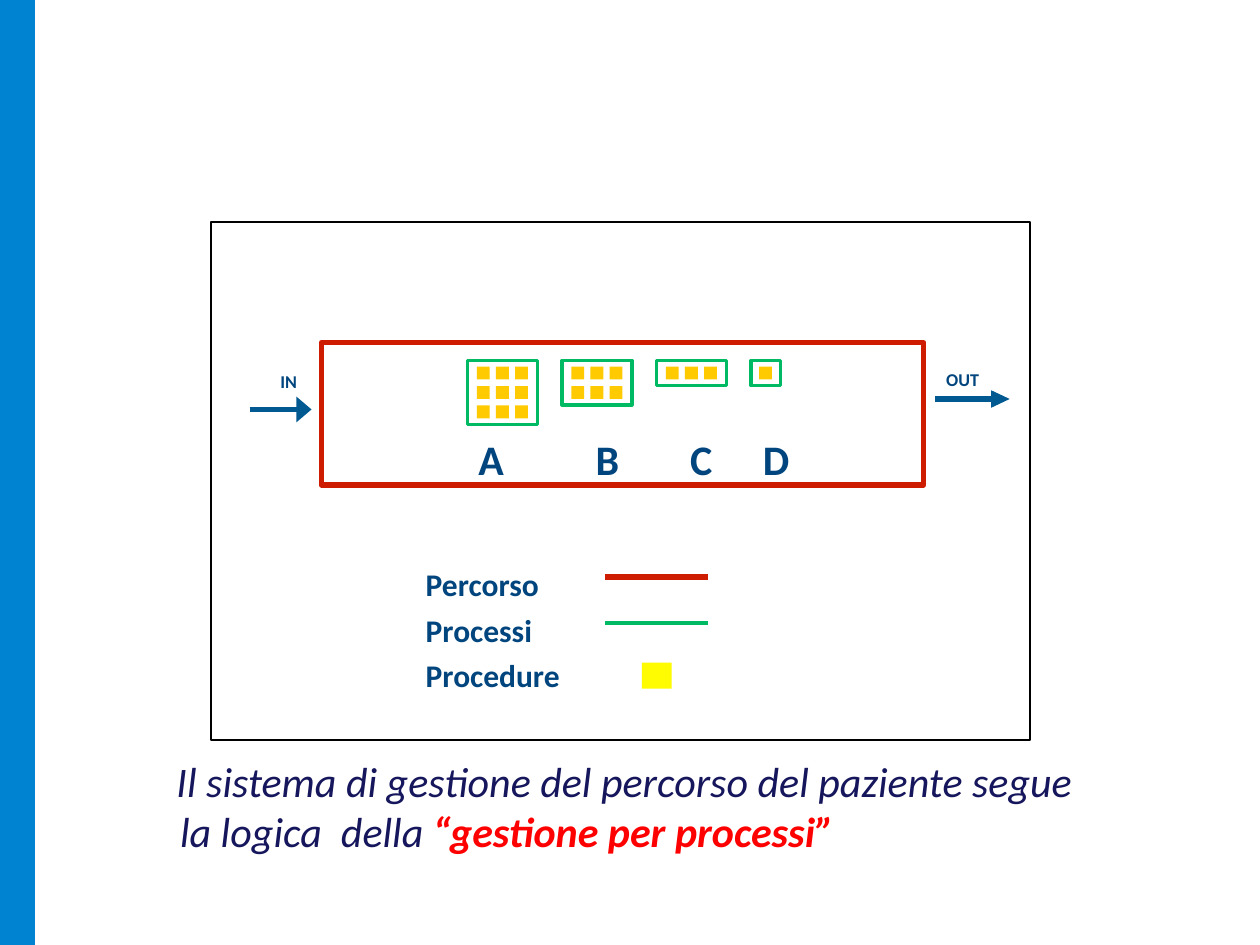
from pptx import Presentation
from pptx.dml.color import RGBColor
from pptx.enum.shapes import MSO_CONNECTOR, MSO_SHAPE
from pptx.enum.text import MSO_ANCHOR, PP_ALIGN
from pptx.oxml.ns import qn
from pptx.util import Pt
from lxml.etree import SubElement

NAVY, STEEL, RED, GREEN, GOLD = "00457D", "005990", "CE1C00", "00BA63", "FFCA00"

presentation = Presentation()
presentation.slide_width, presentation.slide_height = Pt(720), Pt(540)
slide = presentation.slides.add_slide(presentation.slide_layouts[6])
shapes = slide.shapes


def paint(shape, fill=None, line=None, weight=1):
    shape.shadow.inherit = False
    if fill:
        shape.fill.solid()
        shape.fill.fore_color.rgb = RGBColor.from_string(fill)
    else:
        shape.fill.background()
    if line:
        shape.line.color.rgb = RGBColor.from_string(line)
        shape.line.width = Pt(weight)
    else:
        shape.line.fill.background()


def set_text(shape, lines, size, color, bold=False, wrap=True):
    """Write one left-aligned paragraph per line, without insets."""
    frame = shape.text_frame
    frame.word_wrap = wrap
    frame.vertical_anchor = MSO_ANCHOR.TOP
    frame.margin_left = frame.margin_top = frame.margin_right = frame.margin_bottom = 0
    frame.text = "\n".join(lines)
    for paragraph in frame.paragraphs:
        paragraph.alignment = PP_ALIGN.LEFT
        paragraph.font.name = "Calibri"
        paragraph.font.size = Pt(size)
        paragraph.font.bold = bold
        paragraph.font.color.rgb = RGBColor.from_string(color)
    return frame


side_band = shapes.add_shape(MSO_SHAPE.RECTANGLE, 0, 0, Pt(20), Pt(540))
paint(side_band, fill="0084D1")

# Processes, each with its rows and columns of procedures
SQUARE, PITCH_X, PITCH_Y, PAD_Y, TOP = 7.3, 10.9, 11.1, 3.5, 206
process_boxes, corners = [], []
for index, (columns, rows, width) in enumerate(
        [(3, 3, 40), (3, 2, 40), (3, 1, 40), (1, 1, 16.8)]):
    left = 267.1 + 54 * index
    pad_x = (width - SQUARE - PITCH_X * (columns - 1)) / 2
    process_boxes.append((left, width, 2 * PAD_Y + SQUARE + PITCH_Y * (rows - 1)))
    corners += [(left + pad_x + PITCH_X * column, TOP + PAD_Y + PITCH_Y * row)
                for column in range(columns) for row in range(rows)]

# All procedures form one outline with a contour per square
builder = shapes.build_freeform(Pt(corners[0][0]), Pt(corners[0][1]))
for number, (x, y) in enumerate(corners):
    if number:
        builder.move_to(Pt(x), Pt(y))
    builder.add_line_segments([(Pt(x + SQUARE), Pt(y)), (Pt(x + SQUARE), Pt(y + SQUARE)),
                               (Pt(x), Pt(y + SQUARE))], close=True)
paint(builder.convert_to_shape(), fill=GOLD)

for left, width, height in process_boxes:
    process = shapes.add_shape(MSO_SHAPE.RECTANGLE, Pt(left), Pt(TOP), Pt(width), Pt(height))
    paint(process, line=GREEN, weight=2)

# Pathway with its process letters
pathway = shapes.add_shape(MSO_SHAPE.RECTANGLE, Pt(183.6), Pt(195.8), Pt(344.2), Pt(81.4))
paint(pathway, line=RED, weight=3)
letters = set_text(pathway, ["A\tB\tC\tD"], 24, NAVY, bold=True)
letters.margin_left, letters.margin_top = Pt(89.7), Pt(52)
properties = letters.paragraphs[0]._p.get_or_add_pPr()
tab_list = properties.makeelement(qn("a:tabLst"), {})
properties.insert(0, tab_list)
for position in (67, 121, 162.7):
    SubElement(tab_list, qn("a:tab"), pos=str(Pt(position)), algn="l")

# Legend
legend_box = shapes.add_textbox(Pt(243.3), Pt(318.8), Pt(89), Pt(78))
legend = set_text(legend_box, ["Percorso", "Processi", "Procedure"], 18, NAVY, bold=True)
for number, paragraph in enumerate(legend.paragraphs):
    paragraph.line_spacing = 1.19
    if number:
        paragraph.space_before = Pt(0.4)
procedure_key = shapes.add_shape(MSO_SHAPE.RECTANGLE, Pt(366.8), Pt(378.6), Pt(17), Pt(15))
paint(procedure_key, fill="FFFB00")

# Legend lines and flow arrow shafts: x1, x2, y, colour, weight
for x1, x2, y, color, weight in [
    (345.6, 404.6, 329.8, RED, 3),
    (345.6, 404.6, 355.9, GREEN, 2),
    (142.6, 175, 234, STEEL, 3),
    (534.2, 573.5, 228, STEEL, 3),
]:
    connector = shapes.add_connector(MSO_CONNECTOR.STRAIGHT, Pt(x1), Pt(y), Pt(x2), Pt(y))
    connector.line.color.rgb = RGBColor.from_string(color)
    connector.line.width = Pt(weight)
    SubElement(connector._element.spPr, qn("a:effectLst"))

# Flow arrowheads: left, tip, y, half height
for left, tip, y, half in [(169.3, 178, 234, 7.4), (566.4, 577, 228, 5)]:
    builder = shapes.build_freeform(Pt(left), Pt(y - half))
    builder.add_line_segments([(Pt(left), Pt(y + half)), (Pt(tip), Pt(y))], close=True)
    paint(builder.convert_to_shape(), fill=STEEL)

for label, left, top, width in [("IN", 160.2, 211.7, 11), ("OUT", 540.7, 210.5, 20)]:
    label_box = shapes.add_textbox(Pt(left), Pt(top), Pt(width), Pt(13))
    set_text(label_box, [label], 10.3, NAVY, bold=True, wrap=False)

diagram_frame = shapes.add_shape(MSO_SHAPE.RECTANGLE, Pt(120.5), Pt(127), Pt(468), Pt(296))
paint(diagram_frame, line="000000")

# Caption
caption_box = shapes.add_textbox(Pt(100), Pt(431.5), Pt(526), Pt(59))
caption = set_text(
    caption_box,
    ["Il sistema di gestione del percorso del paziente segue la logica  della "],
    24, "16165D").paragraphs[0]
caption.font.italic = True
caption_properties = caption._p.get_or_add_pPr()
caption_properties.set("marL", str(Pt(2.9)))
caption_properties.set("indent", str(Pt(-2)))
emphasis = caption.add_run()
emphasis.text = "“gestione per processi”"
emphasis.font.bold = True
emphasis.font.color.rgb = RGBColor.from_string("FF0000")

presentation.save("out.pptx")
